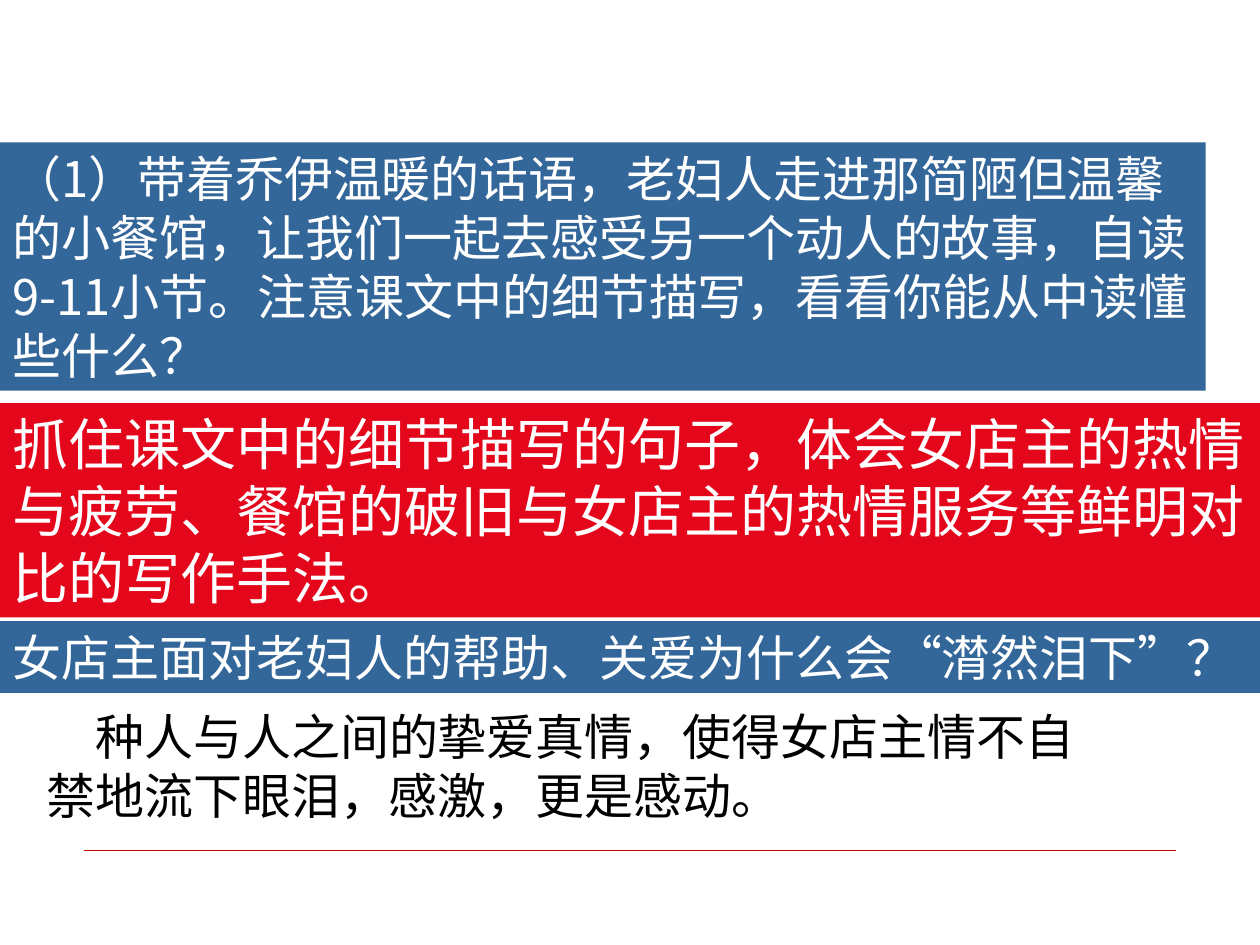
from lxml.etree import SubElement
from pptx import Presentation
from pptx.dml.color import RGBColor
from pptx.enum.shapes import MSO_CONNECTOR, MSO_SHAPE
from pptx.enum.text import MSO_ANCHOR, MSO_AUTO_SIZE, PP_ALIGN
from pptx.oxml.ns import qn
from pptx.util import Inches, Pt

FONT = "Noto Sans CJK SC"
HUES = {"blue": "336699", "red": "E4061B", "rule": "CC0000",
        "white": "FFFFFF", "black": "000000"}
FRAME = {"word_wrap": True, "auto_size": MSO_AUTO_SIZE.SHAPE_TO_FIT_TEXT,
         "vertical_anchor": MSO_ANCHOR.TOP,
         "margin_left": Inches(0.1), "margin_right": Inches(0.1),
         "margin_top": Inches(0.05), "margin_bottom": Inches(0.05)}
BANDS = [
    ((0, 1.13, 9.57, 1.97), "blue", 28,
     "（1）带着乔伊温暖的话语，老妇人走进那简陋但温馨的小餐馆，让我们一起去感受另一个动人的故事，"
     "自读9-11小节。注意课文中的细节描写，看看你能从中读懂些什么？"),
    ((0, 3.2, 10, 1.7), "red", 32,
     "抓住课文中的细节描写的句子，体会女店主的热情与疲劳、餐馆的破旧与女店主的热情服务等鲜明对比的写作手法。"),
    ((0, 4.93, 10, 0.57), "blue", 28,
     "女店主面对老妇人的帮助、关爱为什么会“潸然泪下”？"),
]
ANSWER = "种人与人之间的挚爱真情，使得女店主情不自禁地流下眼泪，感激，更是感动。"


def hue(name):
    """Return the named colour."""
    return RGBColor.from_string(HUES[name])


def style(item, values):
    """Set each attribute of the item from a dict."""
    for key, value in values.items():
        setattr(item, key, value)


def write(shape, text, color, size, indent=0):
    """Fill a shape with one paragraph, its first line indented in points."""
    frame = shape.text_frame
    style(frame, FRAME)
    para = frame.paragraphs[0]
    para.alignment = PP_ALIGN.LEFT
    para._p.get_or_add_pPr().set("indent", str(Pt(indent)))
    run = para.add_run()
    run.text = text
    style(run.font, {"name": FONT, "size": Pt(size)})
    run.font.color.rgb = hue(color)
    SubElement(run.font._element, qn("a:ea"), typeface=FONT)


def band(slide, box, fill, size, text):
    """Draw a filled band with white text in the box."""
    shape = slide.shapes.add_shape(MSO_SHAPE.RECTANGLE, *map(Inches, box))
    shape.shadow.inherit = False
    shape.fill.solid()
    shape.fill.fore_color.rgb = hue(fill)
    shape.line.fill.background()
    write(shape, text, "white", size)


def answer(slide, box):
    """Place the answer, indented by one character, in the box."""
    shape = slide.shapes.add_textbox(*map(Inches, box))
    write(shape, ANSWER, "black", 28, indent=28)


def rule(slide, left, top, width):
    """Draw the thin rule at the foot."""
    line = slide.shapes.add_connector(
        MSO_CONNECTOR.STRAIGHT, *map(Inches, (left, top, left + width, top)))
    line.line.color.rgb = hue("rule")
    line.line.width = Pt(0.25)
    SubElement(line._element.spPr, qn("a:effectLst"))


def main():
    """Build and save the slide."""
    deck = Presentation()
    style(deck, {"slide_width": Inches(10), "slide_height": Inches(7.5)})
    slide = deck.slides.add_slide(deck.slide_layouts[6])
    rule(slide, 0.67, 6.75, 8.66)
    for row in BANDS:
        band(slide, *row)
    answer(slide, (0.27, 5.56, 8.59, 1.75))
    deck.save("out.pptx")


if __name__ == "__main__":
    main()
